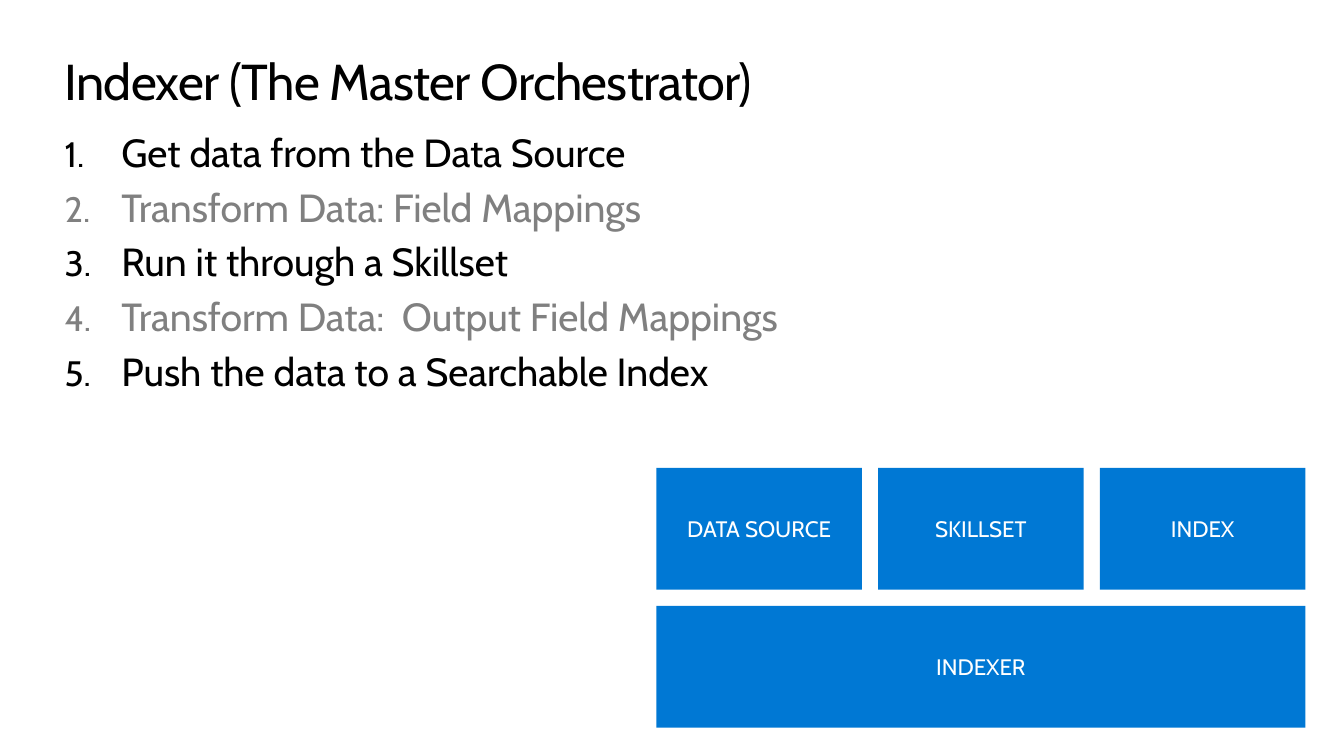
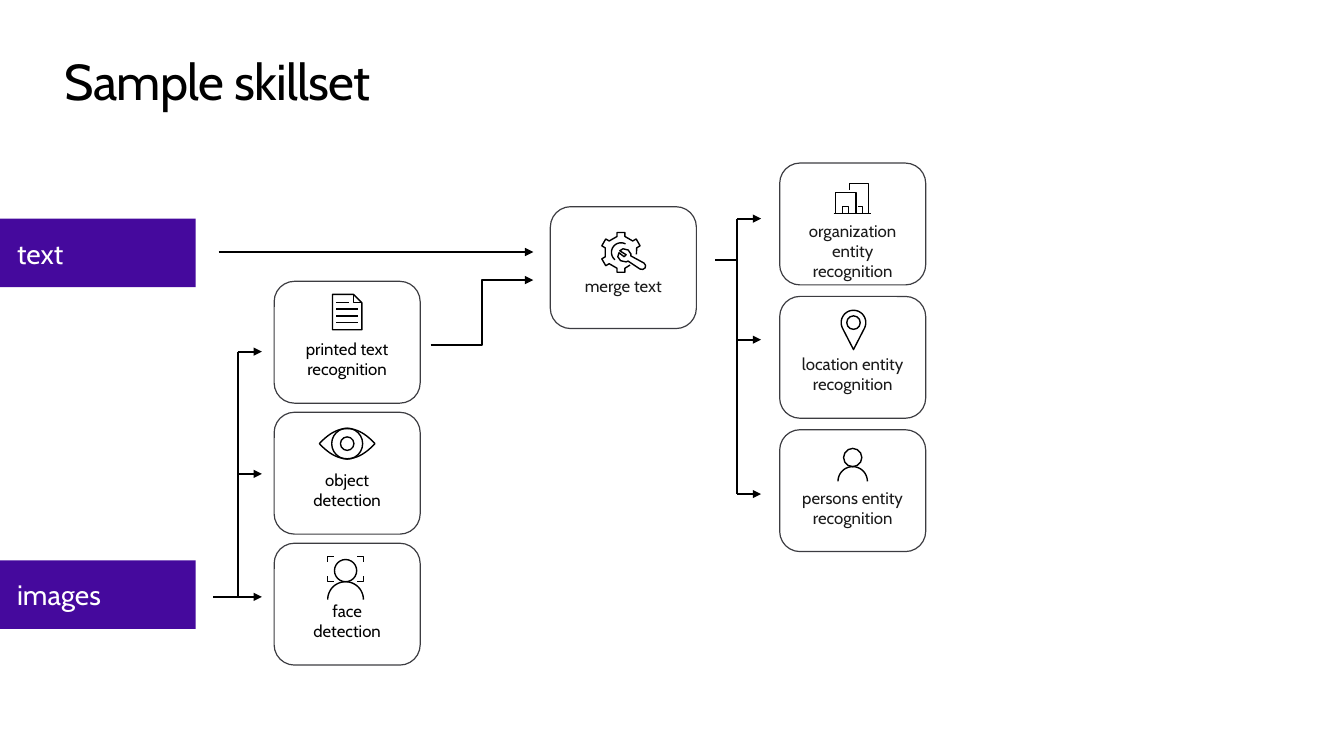
from math import cos, radians, sin

from pptx import Presentation
from pptx.dml.color import RGBColor
from pptx.enum.shapes import MSO_CONNECTOR as CONN, MSO_SHAPE as SHAPE
from pptx.enum.text import MSO_ANCHOR as ANCHOR, MSO_AUTO_SIZE as FIT, PP_ALIGN as ALIGN
from pptx.oxml.ns import qn
from pptx.util import Cm, Pt
from lxml.etree import SubElement

FONT = "Cabin"
BLACK = RGBColor(0x00, 0x00, 0x00)
WHITE = RGBColor(0xFF, 0xFF, 0xFF)
GRAY = RGBColor(0x80, 0x80, 0x80)
INK = RGBColor(0x1A, 0x1A, 0x1A)
OUTLINE = RGBColor(0x3C, 0x3C, 0x41)
BLUE = RGBColor(0x00, 0x78, 0xD4)
PURPLE = RGBColor(0x45, 0x09, 0x9D)
MARGIN, CONTENT_W = 1.63, 30.61
CARD_W, CARD_H = 3.68, 3.07


def write(p, text, size=12, color=BLACK, align=ALIGN.LEFT, before=0, spacing=0):
    """Fill a paragraph with formatted text."""
    p.text = text
    p.alignment = align
    p.space_before = Pt(before)
    for r in p.runs:
        r.font.name, r.font.size, r.font.color.rgb = FONT, Pt(size), color
        if spacing:
            r._r.get_or_add_rPr().set("spc", str(spacing))


def set_frame(tf, anchor=ANCHOR.TOP, left=0, top=0):
    """Give a text frame wrapping, its anchor and its margins."""
    tf.word_wrap, tf.auto_size, tf.vertical_anchor = True, FIT.NONE, anchor
    tf.margin_left, tf.margin_top = Cm(left), Cm(top)
    tf.margin_right = tf.margin_bottom = 0


def arc(cx, cy, radius, start, end, steps=40):
    """Return points along a circular arc, angles in degrees clockwise."""
    angles = [radians(start + (end - start) * i / steps) for i in range(steps + 1)]
    return [(cx + radius * cos(a), cy + radius * sin(a)) for a in angles]


class Deck:
    """Hold the shared style and the current slide."""

    def __init__(self):
        """Start an empty widescreen presentation."""
        self.prs = Presentation()
        self.prs.slide_width, self.prs.slide_height = Cm(33.87), Cm(19.05)
        self.s = None

    def new_slide(self, title):
        """Add a slide with the shared title style."""
        self.s = self.prs.slides.add_slide(self.prs.slide_layouts[5])
        sp = self.s.shapes.title
        sp.left, sp.top, sp.width, sp.height = Cm(MARGIN), Cm(1.27), Cm(CONTENT_W), Cm(1.55)
        set_frame(sp.text_frame)
        write(sp.text_frame.paragraphs[0], title, size=36, spacing=-50)

    def style(self, sp, fill=None, line=None, width=1):
        """Set fill and outline, and drop the shadow."""
        sp.shadow.inherit = False
        if fill is None:
            sp.fill.background()
        else:
            sp.fill.solid()
            sp.fill.fore_color.rgb = fill
        if line is None:
            sp.line.fill.background()
        else:
            sp.line.color.rgb, sp.line.width = line, Pt(width)
        return sp

    def shape(self, kind, x, y, w, h, **look):
        """Add a preset shape."""
        sp = self.s.shapes.add_shape(kind, Cm(x), Cm(y), Cm(w), Cm(h))
        return self.style(sp, **look)

    def box(self, text, x, y, w, h, fill, size, align=ALIGN.CENTER, inset=0):
        """Add a filled rectangle with a label."""
        sp = self.shape(SHAPE.RECTANGLE, x, y, w, h, fill=fill)
        set_frame(sp.text_frame, ANCHOR.MIDDLE, inset)
        write(sp.text_frame.paragraphs[0], text, size, WHITE, align)

    def card(self, text, x, y, color=BLACK, top=1.3):
        """Add a rounded card with its label below the icon area."""
        sp = self.shape(SHAPE.ROUNDED_RECTANGLE, x, y, CARD_W, CARD_H, line=OUTLINE, width=0.85)
        set_frame(sp.text_frame, top=top)
        write(sp.text_frame.paragraphs[0], text, color=color, align=ALIGN.CENTER)

    def numbered(self, items, x, y, w, h):
        """Add a numbered list of text and colour pairs."""
        tf = self.s.shapes.add_textbox(Cm(x), Cm(y), Cm(w), Cm(h)).text_frame
        set_frame(tf)
        for i, (text, color) in enumerate(items):
            p = tf.add_paragraph() if i else tf.paragraphs[0]
            write(p, text, 28, color, before=5.5 if i else 0)
            pPr = p._p.get_or_add_pPr()
            pPr.set("marL", str(Cm(1.43)))
            pPr.set("indent", str(-Cm(1.43)))
            SubElement(pPr, qn("a:buSzPct"), val="90000")
            SubElement(pPr, qn("a:buFont"), typeface=FONT)
            SubElement(pPr, qn("a:buAutoNum"), type="arabicPeriod")

    def line(self, x1, y1, x2, y2, width=1, arrow=False, kind=CONN.STRAIGHT):
        """Add a connector, with an arrowhead on request."""
        c = self.s.shapes.add_connector(kind, Cm(x1), Cm(y1), Cm(x2), Cm(y2))
        c.line.color.rgb, c.line.width = BLACK, Pt(width)
        if arrow:
            SubElement(c.line._get_or_add_ln(), qn("a:tailEnd"), type="triangle")
        SubElement(c._element.spPr, qn("a:effectLst"))

    def branch(self, start, trunk, tip, feed_y, ys):
        """Split one feed line into an arrow at each height."""
        self.line(start, feed_y, trunk, feed_y, 1.5)
        self.line(trunk, ys[0], trunk, ys[-1], 1.5)
        for y in ys:
            self.line(trunk, y, tip, y, 1.5, arrow=True)

    def outline(self, points, close=False):
        """Draw an unfilled outline through the points."""
        pts = [(Cm(x), Cm(y)) for x, y in points]
        fb = self.s.shapes.build_freeform(*pts[0], scale=1.0)
        fb.add_line_segments(pts[1:], close=close)
        self.style(fb.convert_to_shape(), line=BLACK)

    def circle(self, cx, cy, radius):
        """Draw an unfilled circle around a centre."""
        self.shape(SHAPE.OVAL, cx - radius, cy - radius, 2 * radius, 2 * radius, line=BLACK)

    def document_icon(self, x, y):
        """Draw a page with a folded corner."""
        w, h, fold = 0.74, 0.89, 0.21
        page = self.shape(SHAPE.SNIP_1_RECTANGLE, x, y, w, h, line=BLACK)
        page.adjustments[0] = fold / w
        self.outline([(x + w - fold, y), (x + w - fold, y + fold), (x + w, y + fold)])
        for i in range(4):
            row = y + 0.2 + 0.17 * i
            self.line(x + 0.1, row, x + (0.64 if i else 0.41), row)

    def eye_icon(self, cx, cy):
        """Draw an eye with iris and pupil."""
        steps = [i / 20 for i in range(-20, 21)]
        lid = [(0.7 * t, 0.38 * (1 - t * t)) for t in steps]
        upper = [(cx + x, cy - y) for x, y in lid]
        lower = [(cx + x, cy + y) for x, y in reversed(lid)]
        self.outline(upper + lower[1:-1], close=True)
        for radius in (0.39, 0.17):
            self.circle(cx, cy, radius)

    def person_icon(self, cx, cy, head, body):
        """Draw a head above round shoulders."""
        self.circle(cx, cy, head)
        self.outline(arc(cx, cy + head + body, body, 180, 360))

    def face_icon(self, cx, cy):
        """Draw a person in a viewfinder frame."""
        self.person_icon(cx, cy, 0.28, 0.45)
        for sx in (-1, 1):
            for sy in (-1, 1):
                x, y = cx + 0.45 * sx, cy - 0.04 + 0.32 * sy
                self.outline([(x - 0.15 * sx, y), (x, y), (x, y - 0.15 * sy)])

    def buildings_icon(self, x, ground):
        """Draw two buildings on a ground line."""
        self.line(x, ground, x + 0.94, ground)
        self.shape(SHAPE.RECTANGLE, x + 0.05, ground - 0.53, 0.51, 0.53, line=BLACK)
        self.shape(SHAPE.RECTANGLE, x + 0.22, ground - 0.17, 0.15, 0.17, line=BLACK)
        back = [(0.4, 0.6), (0.4, 0.76), (0.88, 0.76), (0.88, 0)]
        door = [(0.61, 0.17), (0.73, 0.17), (0.73, 0)]
        for points in (back, door):
            self.outline([(x + dx, ground - dy) for dx, dy in points])

    def pin_icon(self, cx, cy):
        """Draw a map pin."""
        self.outline(arc(cx, cy, 0.31, 155, 385) + [(cx, cy + 0.68)], close=True)
        self.circle(cx, cy, 0.17)

    def gear_icon(self, cx, cy):
        """Draw an open gear with a wrench in it."""
        rim = [(0.23, 0.32)]
        for angle in range(90, 331, 60):
            c, s = cos(radians(angle)), sin(radians(angle))
            for r, side in ((0.4, -0.1), (0.5, -0.1), (0.5, 0.1), (0.4, 0.1)):
                rim.append((r * c - side * s, r * s + side * c))
        rim.append((0.39, 0.05))
        wrench = [(0.18, 0.22), (0.48, 0.42), (0.55, 0.43), (0.61, 0.39), (0.62, 0.33),
                  (0.58, 0.27), (0.25, 0.09), (0.25, 0.04), (0.18, -0.06), (0.05, -0.09),
                  (-0.03, -0.04), (0.13, 0.06), (0.08, 0.11), (-0.05, 0.01),
                  (-0.08, 0.11), (-0.01, 0.21), (0.13, 0.24)]
        for points, close in ((rim, False), (wrench, True)):
            self.outline([(cx + dx, cy + dy) for dx, dy in points], close)
        self.outline(arc(cx, cy, 0.24, 129, 298))


def indexer_slide(deck):
    """Build the indexer steps and its building blocks."""
    deck.new_slide("Indexer (The Master Orchestrator)")
    deck.numbered([
        ("Get data from the Data Source", BLACK),
        ("Transform Data: Field Mappings", GRAY),
        ("Run it through a Skillset", BLACK),
        ("Transform Data:  Output Field Mappings", GRAY),
        ("Push the data to a Searchable Index", BLACK),
    ], MARGIN, 3.23, CONTENT_W, 6.93)
    left, top, w, h, gap = 16.54, 11.79, 5.18, 3.07, 0.41
    for i, text in enumerate(("DATA SOURCE", "SKILLSET", "INDEX")):
        deck.box(text, left + i * (w + gap), top, w, h, BLUE, 16)
    deck.box("INDEXER", left, top + h + gap, 3 * w + 2 * gap, h, BLUE, 16)


def skillset_slide(deck):
    """Build the skillset flow from inputs to entities."""
    deck.new_slide("Sample skillset")
    for text, y in (("text", 5.51), ("images", 14.12)):
        deck.box(text, 0, y, 4.93, 1.73, PURPLE, 20, ALIGN.LEFT, 0.43)

    vision = ("printed text\nrecognition", "object\ndetection", "face\ndetection")
    for i, text in enumerate(vision):
        deck.card(text, 6.91, 7.09 + 3.3 * i)
    entities = ("organization\nentity\nrecognition", "location entity\nrecognition",
                "persons entity\nrecognition")
    for i, text in enumerate(entities):
        deck.card(text, 19.65, 4.11 + 3.36 * i, INK)
    deck.card("merge text", 13.87, 5.21, INK, 1.6)

    deck.document_icon(8.38, 7.42)
    deck.eye_icon(8.75, 11.18)
    deck.face_icon(8.71, 14.38)
    deck.gear_icon(15.65, 6.36)
    deck.buildings_icon(21.01, 5.38)
    deck.pin_icon(21.51, 8.13)
    deck.person_icon(21.49, 11.53, 0.23, 0.37)

    deck.line(5.51, 6.35, 13.44, 6.35, 1.5, arrow=True)
    deck.line(10.85, 8.69, 13.44, 7.06, 1.5, arrow=True, kind=CONN.ELBOW)
    deck.branch(5.38, 5.99, 6.6, 15.04, (8.86, 11.94, 15.04))
    deck.branch(18.03, 18.57, 19.18, 6.55, (5.51, 8.56, 12.45))


def main():
    """Build and save the presentation."""
    deck = Deck()
    indexer_slide(deck)
    skillset_slide(deck)
    deck.prs.save("out.pptx")


if __name__ == "__main__":
    main()
